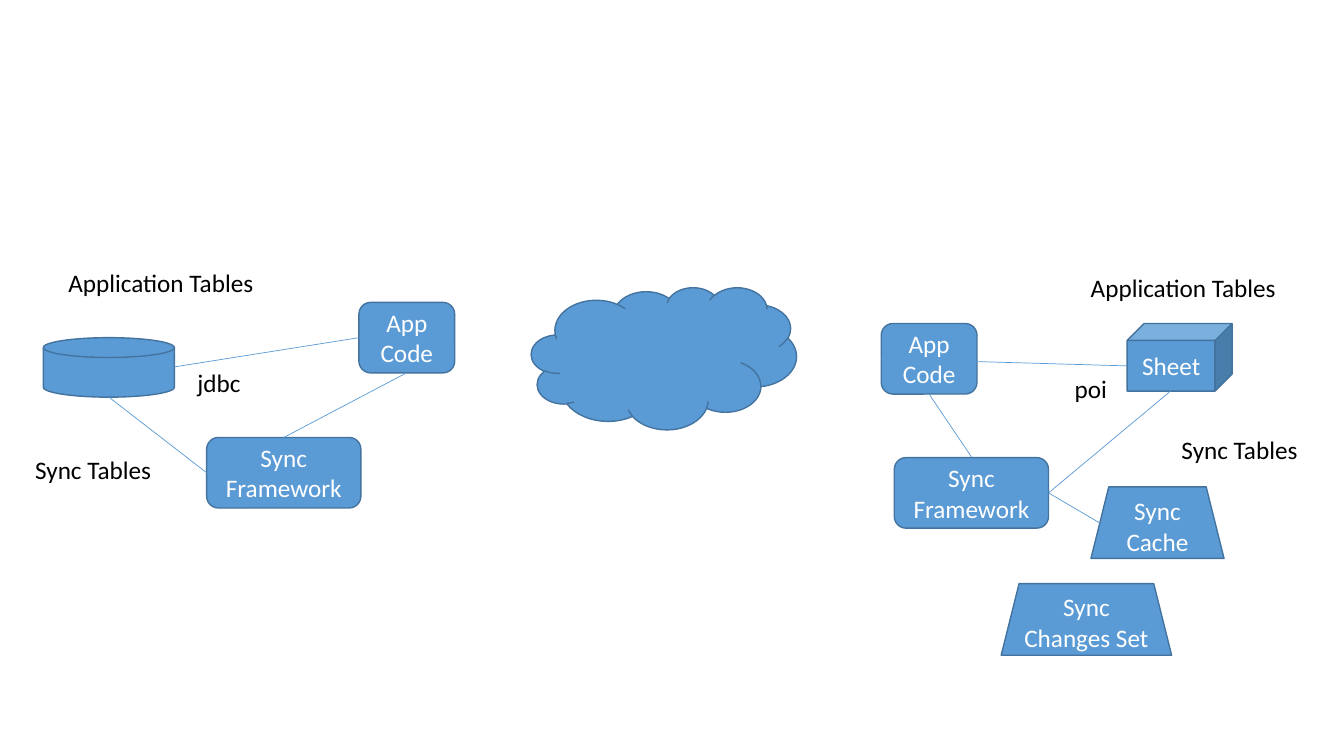
from lxml import etree
from pptx import Presentation
from pptx.dml.color import RGBColor
from pptx.enum.shapes import MSO_CONNECTOR, MSO_SHAPE as Preset
from pptx.enum.text import MSO_ANCHOR, MSO_AUTO_SIZE, PP_ALIGN
from pptx.oxml.ns import qn
from pptx.util import Inches, Pt

BLUE = RGBColor(0x5B, 0x9B, 0xD5)
DARK_BLUE = RGBColor(0x43, 0x73, 0x9E)
WHITE = RGBColor(0xFF, 0xFF, 0xFF)
BLACK = RGBColor(0, 0, 0)
TOP, LEFT, BOTTOM, RIGHT = range(4)

deck = Presentation()
deck.slide_width, deck.slide_height = Inches(13.33), Inches(7.5)
slide = deck.slides.add_slide(deck.slide_layouts[6])


def write(owner, words, color, align, frame_format):
    frame = owner.text_frame
    for name, value in frame_format.items():
        setattr(frame, name, value)
    line = frame.paragraphs[0]
    line.alignment = align
    run = line.add_run()
    run.text = words
    for name, value in {"name": "Calibri", "size": Pt(18)}.items():
        setattr(run.font, name, value)
    run.font.color.rgb = color


node_text = {"word_wrap": True, "vertical_anchor": MSO_ANCHOR.MIDDLE}
label_text = {"word_wrap": False, "auto_size": MSO_AUTO_SIZE.SHAPE_TO_FIT_TEXT}

app_size = (0.95, 0.7)
framework_size = (1.53, 0.7)
nodes = {
    "database": (Preset.FLOWCHART_MAGNETIC_DISK, 0.43, 3.35, 1.3, 0.59, ""),
    "server app": (Preset.ROUNDED_RECTANGLE, 3.56, 3, *app_size, "App Code"),
    "server sync": (Preset.ROUNDED_RECTANGLE, 2.05, 4.34, *framework_size, "Sync Framework"),
    "client app": (Preset.ROUNDED_RECTANGLE, 8.74, 3.21, *app_size, "App Code"),
    "client sync": (Preset.ROUNDED_RECTANGLE, 8.87, 4.54, *framework_size, "Sync Framework"),
    "network": (Preset.CLOUD, 5.27, 2.85, 2.63, 1.41, ""),
    "workbook": (Preset.CUBE, 11.18, 3.21, 1.04, 0.67, "Sheet"),
    "cache": (Preset.TRAPEZOID, 10.82, 4.83, 1.32, 0.71, "Sync Cache"),
    "changes": (Preset.TRAPEZOID, 9.93, 5.79, 1.69, 0.71, "Sync Changes Set"),
}
placed = {}
for role, (preset, *box, words) in nodes.items():
    node = slide.shapes.add_shape(preset, *map(Inches, box))
    node.shadow.inherit = False
    node.fill.solid()
    node.fill.fore_color.rgb = BLUE
    node.line.color.rgb = DARK_BLUE
    node.line.width = Pt(1)
    if words:
        write(node, words, WHITE, PP_ALIGN.CENTER, node_text)
    placed[role] = node

links = [
    ("server sync", LEFT, 1.08, 3.94),
    ("server app", LEFT, 1.73, 3.64),
    ("server sync", TOP, 4.03, 3.7),
    ("client sync", RIGHT, 10.91, 5.19),
    ("client app", LEFT, 11.18, 3.63),
    ("client app", BOTTOM, 9.64, 4.54),
    ("client sync", RIGHT, 11.61, 3.88),
]
for role, side, end_x, end_y in links:
    link = slide.shapes.add_connector(
        MSO_CONNECTOR.STRAIGHT, 0, 0, Inches(end_x), Inches(end_y))
    link.begin_connect(placed[role], side)
    link.line.color.rgb = BLUE
    link.line.width = Pt(0.5)
    etree.SubElement(link._element.spPr, qn("a:effectLst"))

labels = [
    ("Application Tables", 0.58, 2.6, 2.06),
    ("Sync Tables", 0.25, 4.46, 1.37),
    ("jdbc", 1.86, 3.59, 0.63),
    ("Application Tables", 10.72, 2.65, 2.06),
    ("Sync Tables", 11.62, 4.26, 1.37),
    ("poi", 10.56, 3.65, 0.53),
]
for words, left, top, width in labels:
    label = slide.shapes.add_textbox(*map(Inches, (left, top, width, 0.4)))
    write(label, words, BLACK, PP_ALIGN.LEFT, label_text)

deck.save("out.pptx")
